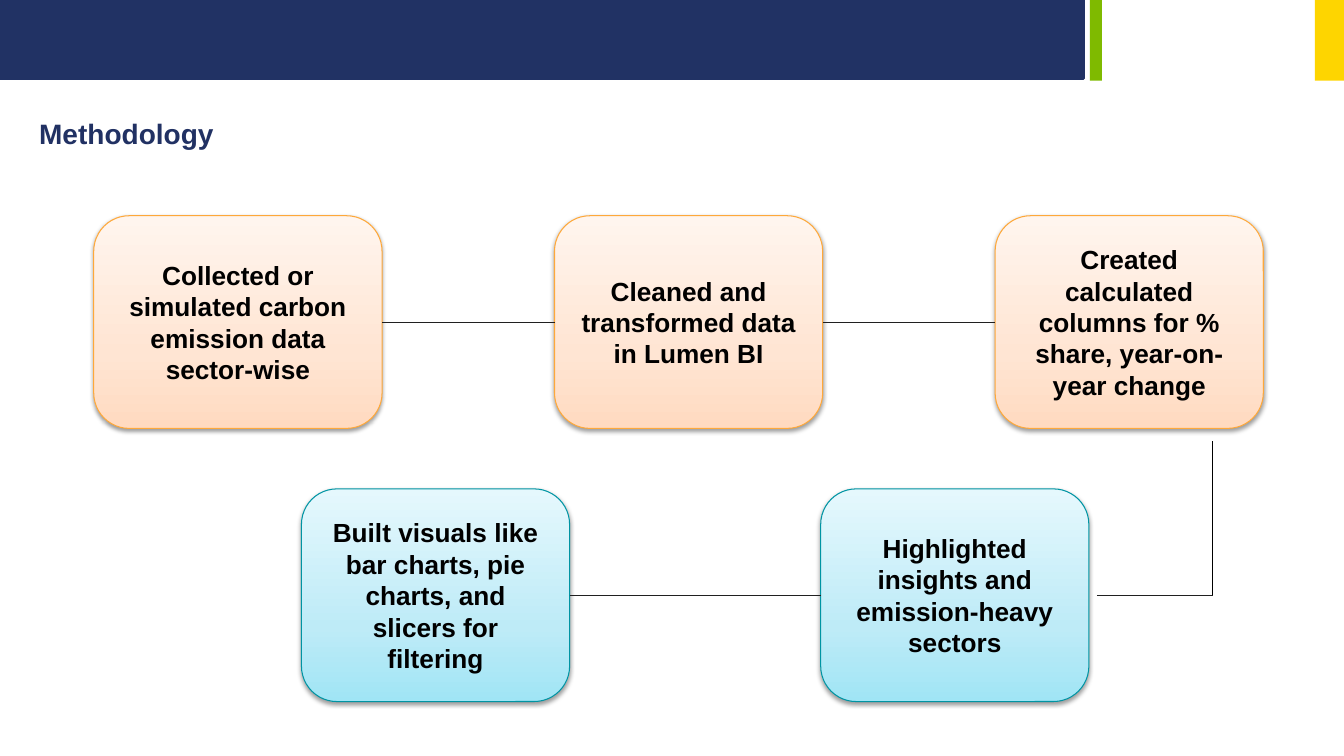
"""Build the Methodology slide: a five-step flow in two rows of rounded boxes."""
from copy import deepcopy

from lxml import etree
from pptx import Presentation
from pptx.dml.color import RGBColor
from pptx.enum.shapes import MSO_CONNECTOR, MSO_SHAPE
from pptx.enum.text import MSO_ANCHOR, PP_ALIGN
from pptx.oxml import parse_xml
from pptx.oxml.ns import nsdecls, qn
from pptx.util import Inches, Pt


def color(hex_string):
    """Turn a hex string into a colour."""
    return RGBColor.from_string(hex_string)


def add_text(paragraph, text, size, hex_string):
    """Add one bold Arial run."""
    run = paragraph.add_run()
    run.text = text
    run.font.name = "Arial"
    run.font.size = Pt(size)
    run.font.bold = True
    run.font.color.rgb = color(hex_string)


SHADOW = (
    f'<a:outerShdw {nsdecls("a")} blurRad="40000" dist="20000" dir="5400000" rotWithShape="0">'
    '<a:srgbClr val="000000"><a:alpha val="38000"/></a:srgbClr></a:outerShdw>'
)
ORANGE = ("FEA83A", ["FFDAC0", "FFE5D3", "FFF5EE"])
TEAL = ("0094A3", ["A0E5F5", "BEEBF7", "E5F8FD"])
STOP_POSITIONS = [0, 0.35, 1]
TOP_ROW, BOTTOM_ROW, BOX_HEIGHT = 2.14, 4.85, 2.11
TOP_MIDDLE = TOP_ROW + BOX_HEIGHT / 2
BOTTOM_MIDDLE = BOTTOM_ROW + BOX_HEIGHT / 2

presentation = Presentation()
presentation.slide_width = Inches(13.33)
presentation.slide_height = Inches(7.5)
slide = presentation.slides.add_slide(presentation.slide_layouts[6])

header_bars = [
    (0, 10.75, 0.78, "213264", 2),
    (10.81, 0.12, 0.8, "7FBA00", 0),
    (13.04, 0.29, 0.8, "FED500", 0),
]
for left, width, height, bar_color, line_width in header_bars:
    bar = slide.shapes.add_shape(
        MSO_SHAPE.RECTANGLE, Inches(left), 0, Inches(width), Inches(height)
    )
    bar.shadow.inherit = False
    bar.fill.solid()
    bar.fill.fore_color.rgb = color(bar_color)
    if line_width:
        bar.line.color.rgb = color(bar_color)
        bar.line.width = Pt(line_width)
    else:
        bar.line.fill.background()

title = slide.shapes.add_textbox(Inches(0.29), Inches(1.11), Inches(6.67), Inches(0.44))
title.text_frame.word_wrap = True
add_text(title.text_frame.paragraphs[0], "Methodology", 20, "213163")

steps = [
    (0.93, TOP_ROW, 2.86, ORANGE, "Collected or simulated carbon emission data sector-wise"),
    (5.5, TOP_ROW, 2.66, ORANGE, "Cleaned and transformed data in Lumen BI"),
    (9.87, TOP_ROW, 2.66, ORANGE, "Created calculated columns for % share, year-on-year change"),
    (8.14, BOTTOM_ROW, 2.66, TEAL, "Highlighted insights and emission-heavy sectors"),
    (2.99, BOTTOM_ROW, 2.66, TEAL,
     "Built visuals like bar charts, pie charts, and slicers for filtering"),
]
for left, top, width, (border, gradient), text in steps:
    box = slide.shapes.add_shape(
        MSO_SHAPE.ROUNDED_RECTANGLE,
        Inches(left), Inches(top), Inches(width), Inches(BOX_HEIGHT),
    )
    box.fill.gradient()
    box.fill.gradient_angle = 90
    stop_list = box.fill._fill._gradFill.find(qn("a:gsLst"))
    stop_list.append(deepcopy(stop_list[0]))
    for stop, position, stop_color in zip(box.fill.gradient_stops, STOP_POSITIONS, gradient):
        stop.position = position
        stop.color.rgb = color(stop_color)
    box.line.color.rgb = color(border)
    box.line.width = Pt(0.75)
    box.shadow.inherit = False
    box.element.spPr.find(qn("a:effectLst")).append(parse_xml(SHADOW))
    frame = box.text_frame
    frame.word_wrap = True
    frame.vertical_anchor = MSO_ANCHOR.MIDDLE
    frame.paragraphs[0].alignment = PP_ALIGN.CENTER
    add_text(frame.paragraphs[0], text, 18.7, "000000")

links = [
    (3.79, TOP_MIDDLE, 5.5, TOP_MIDDLE, "202020"),
    (8.16, TOP_MIDDLE, 9.87, TOP_MIDDLE, "202020"),
    (5.65, BOTTOM_MIDDLE, 8.14, BOTTOM_MIDDLE, "202020"),
    (10.88, BOTTOM_MIDDLE, 12.03, BOTTOM_MIDDLE, "202020"),
    (12.03, 4.38, 12.03, BOTTOM_MIDDLE, "000000"),
]
for start_x, start_y, end_x, end_y, link_color in links:
    link = slide.shapes.add_connector(
        MSO_CONNECTOR.STRAIGHT,
        Inches(start_x), Inches(start_y), Inches(end_x), Inches(end_y),
    )
    link.line.color.rgb = color(link_color)
    link.line.width = Pt(0.75)
    etree.SubElement(link.element.spPr, qn("a:effectLst"))

presentation.save("out.pptx")
